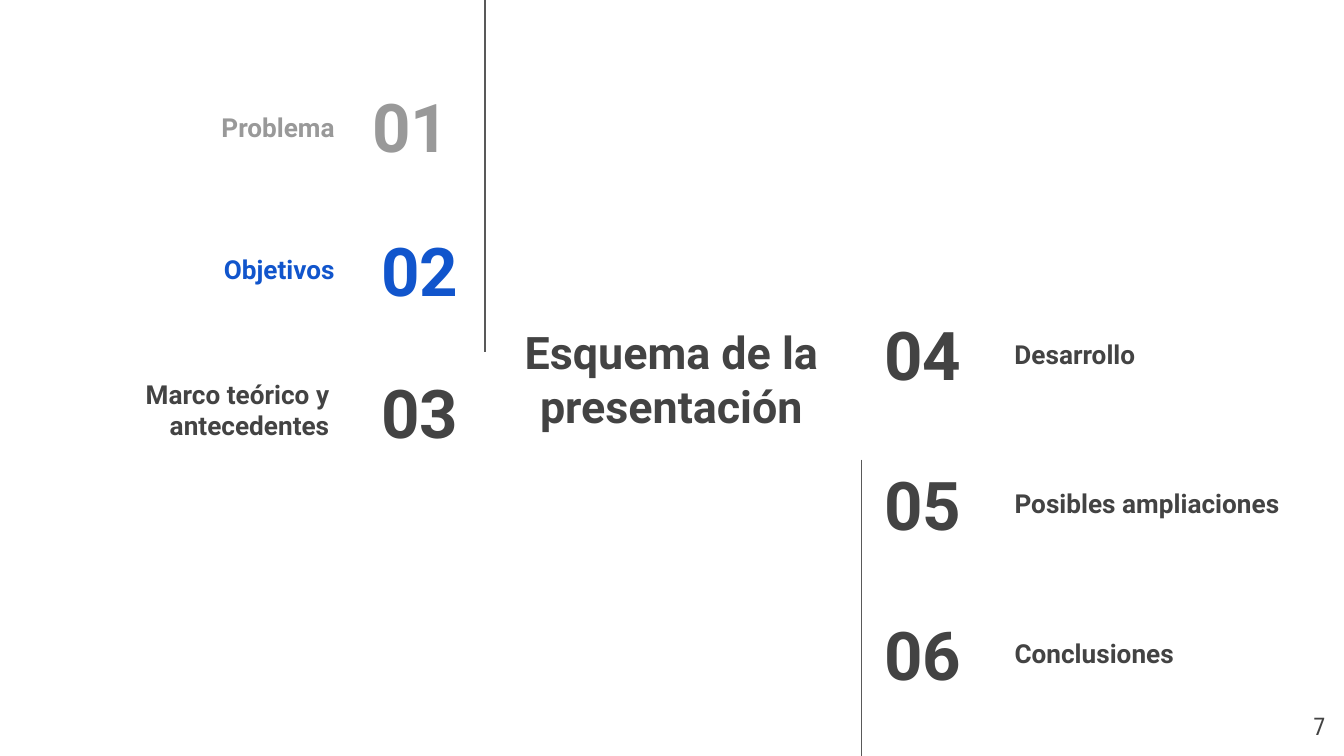
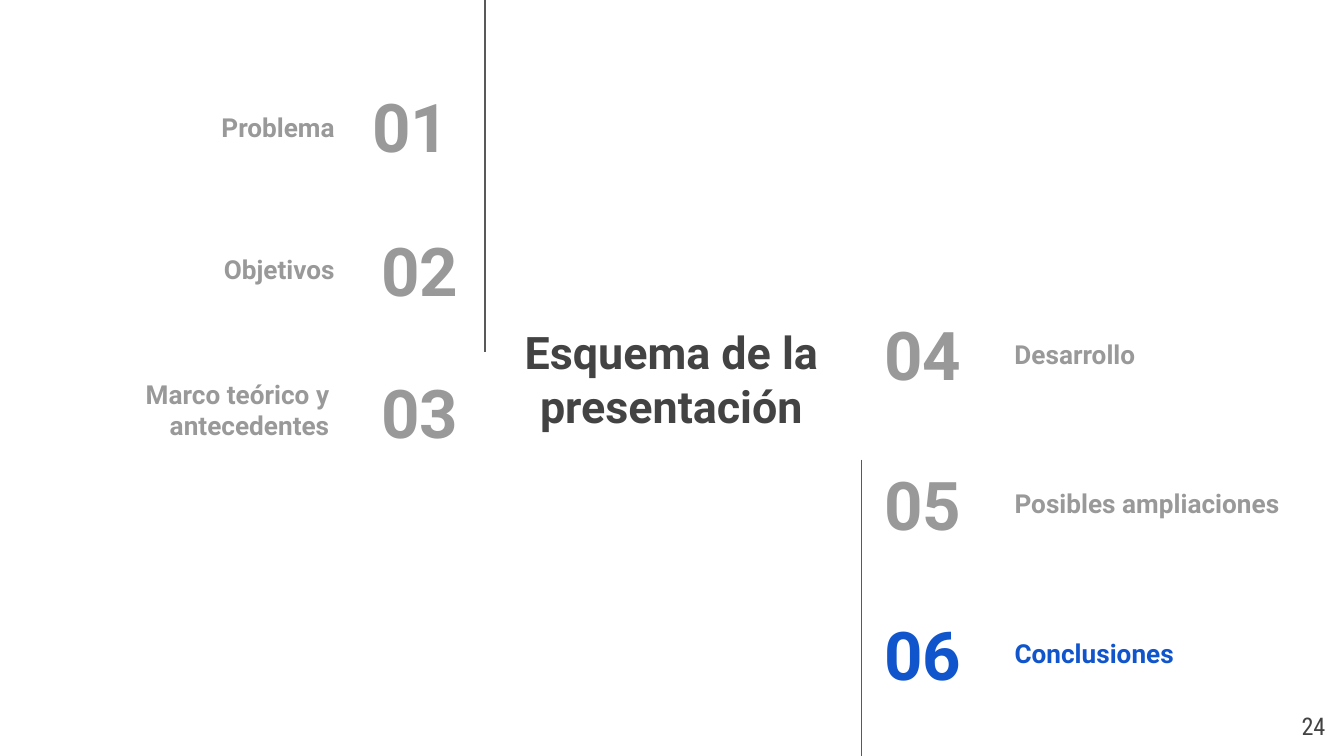
from dataclasses import dataclass

from lxml import etree
from pptx import Presentation
from pptx.dml.color import RGBColor
from pptx.enum.shapes import MSO_CONNECTOR as Connector
from pptx.enum.text import MSO_ANCHOR as Anchor, PP_ALIGN as Align
from pptx.oxml.ns import qn
from pptx.util import Inches, Pt

# Colours and fonts
DARK = RGBColor(0x43, 0x43, 0x43)
MUTED = RGBColor(0x99, 0x99, 0x99)
ACCENT = RGBColor(0x11, 0x55, 0xCC)
RULE = RGBColor(0x59, 0x59, 0x59)
FONT = "Roboto"
NUMBER_FONT = "Roboto Condensed"

# Widescreen page, 16:9
WIDTH = 10
HEIGHT = WIDTH * 9 / 16


@dataclass
class Topic:
    label: str
    number_left: float
    number_top: float
    label_left: float
    label_top: float
    label_width: float = 2.16


LEFT_TOPICS = [
    Topic("Problema", 2.23, 0.62, 0.43, 0.73),
    Topic("Objetivos", 2.3, 1.69, 0.43, 1.79),
    Topic("Marco teórico y antecedentes", 2.3, 2.75, 0.39, 2.95),
]
RIGHT_TOPICS = [
    Topic("Desarrollo", 6.48, 2.32, 7.45, 2.42),
    Topic("Posibles ampliaciones", 6.48, 3.43, 7.45, 3.53, 2.28),
    Topic("Conclusiones", 6.48, 4.55, 7.45, 4.65, 2.28),
]


class OutlineDeck:
    """Holds the style and the current slide."""

    def __init__(self):
        self.presentation = Presentation()
        self.presentation.slide_width = Inches(WIDTH)
        self.presentation.slide_height = Inches(HEIGHT)
        self.slide = None

    def new_slide(self):
        blank = self.presentation.slide_layouts[6]
        self.slide = self.presentation.slides.add_slide(blank)

    def text(self, words, left, top, width, height, size, color=DARK,
             align=Align.LEFT, anchor=Anchor.MIDDLE, font=FONT, bold=True):
        box = self.slide.shapes.add_textbox(
            Inches(left), Inches(top), Inches(width), Inches(height))
        frame = box.text_frame
        frame.word_wrap = True
        frame.vertical_anchor = anchor
        frame.margin_left = frame.margin_right = Inches(0.1)
        frame.margin_top = frame.margin_bottom = Inches(0.1)
        paragraph = frame.paragraphs[0]
        paragraph.alignment = align
        run = paragraph.add_run()
        run.text = words
        run.font.name = font
        run.font.size = Pt(size)
        run.font.bold = bold
        run.font.color.rgb = color

    def vertical_rule(self, x, top, bottom):
        line = self.slide.shapes.add_connector(
            Connector.STRAIGHT, Inches(x), Inches(top), Inches(x), Inches(bottom))
        line.line.color.rgb = RULE
        line.line.width = Pt(0.75)
        etree.SubElement(line._element.spPr, qn("a:effectLst"))

    def topic(self, number, topic, color, align):
        number_width = 1.21 if align == Align.RIGHT else 1.17
        self.text(f"{number:02}", topic.number_left, topic.number_top,
                  number_width, 0.63, 36, color, align)
        self.text(topic.label, topic.label_left, topic.label_top,
                  topic.label_width, 0.43, 14, color, align, Anchor.BOTTOM)

    def page_number(self, page):
        self.text(str(page), 9.36, 5.19, 0.6, 0.43, 13, align=Align.RIGHT,
                  anchor=Anchor.TOP, font=NUMBER_FONT, bold=False)

    def outline(self, current, page):
        """Topics before the current one are muted, later ones stay dark."""
        self.new_slide()
        self.text("Esquema de la presentación", 3.7, 2.3, 2.59, 1.03, 24,
                  align=Align.CENTER)
        # Rules beside the two columns
        self.vertical_rule(3.61, 0, 2.62)
        self.vertical_rule(6.41, 3.42, HEIGHT)
        # Numbered topics
        for number, topic in enumerate(LEFT_TOPICS + RIGHT_TOPICS, start=1):
            if number == current:
                color = ACCENT
            else:
                color = MUTED if number < current else DARK
            on_left = number <= len(LEFT_TOPICS)
            self.topic(number, topic, color, Align.RIGHT if on_left else Align.LEFT)
        self.page_number(page)


def main():
    deck = OutlineDeck()
    deck.outline(current=2, page=7)
    deck.outline(current=6, page=24)
    deck.presentation.save("out.pptx")


if __name__ == "__main__":
    main()
